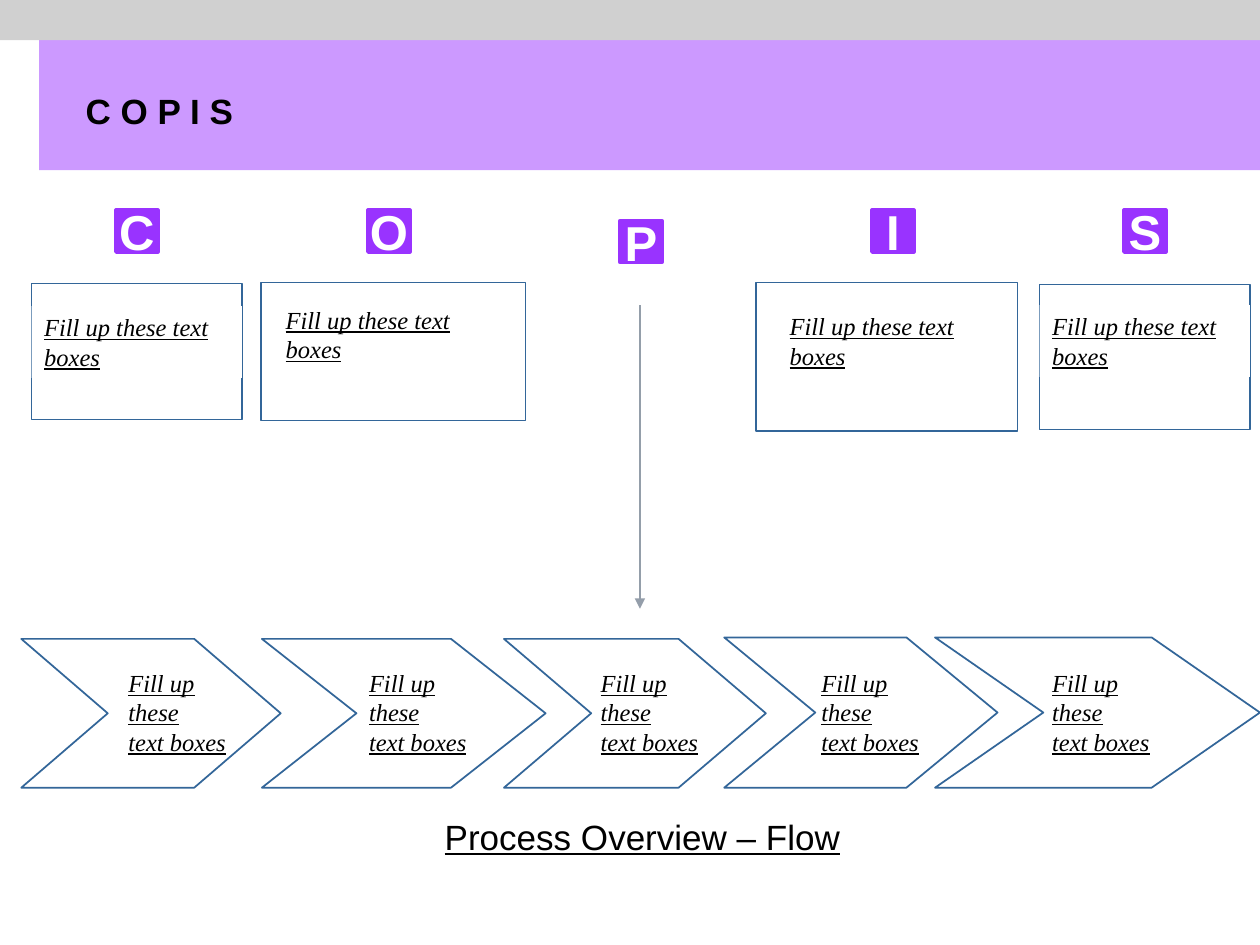
from dataclasses import dataclass

from lxml import etree
from pptx import Presentation
from pptx.dml.color import RGBColor
from pptx.enum.shapes import MSO_CONNECTOR, MSO_SHAPE
from pptx.enum.text import MSO_ANCHOR, PP_ALIGN
from pptx.oxml.ns import qn
from pptx.util import Cm, Pt


@dataclass(frozen=True)
class Theme:
    black: str = "000000"
    white: str = "FFFFFF"
    lilac: str = "CC99FF"
    violet: str = "9933FF"
    grey: str = "D0D0D0"
    blue: str = "336699"
    steel: str = "949EAA"
    sans: str = "Arial"
    serif: str = "Times New Roman"
    letter_size: int = 28
    heading_size: int = 20
    prompt_size: int = 14


class Page:
    def __init__(self, slide, theme):
        self.shapes = slide.shapes
        self.theme = theme

    def block(self, area, fill, line=None, weight=0.75, kind=MSO_SHAPE.RECTANGLE):
        shape = self.shapes.add_shape(kind, *map(Cm, area))
        shape.shadow.inherit = False
        shape.fill.solid()
        shape.fill.fore_color.rgb = RGBColor.from_string(fill)
        if line:
            shape.line.color.rgb = RGBColor.from_string(line)
            shape.line.width = Pt(weight)
        else:
            shape.line.fill.background()
        return shape

    def label(self, shape, text, face, size, color, align, wrap=False,
              anchor=MSO_ANCHOR.TOP, bold=False, italic=False, underline=False):
        frame = shape.text_frame
        frame.word_wrap = wrap
        frame.vertical_anchor = anchor
        frame.text = text
        for paragraph in frame.paragraphs:
            paragraph.alignment = align
            font = paragraph.font
            font.name = face
            font.size = Pt(size)
            font.color.rgb = RGBColor.from_string(color)
            font.bold = bold
            font.italic = italic
            font.underline = underline

    def letter(self, left, top, text):
        theme = self.theme
        tile = self.block((left, top, 0.84, 0.84), theme.violet, theme.violet, 2.25)
        self.label(tile, text, theme.sans, theme.letter_size, theme.white,
                   PP_ALIGN.CENTER, anchor=MSO_ANCHOR.MIDDLE, bold=True)

    def heading(self, area, text, bold=False, underline=False):
        box = self.shapes.add_textbox(*map(Cm, area))
        self.label(box, text, self.theme.sans, self.theme.heading_size, self.theme.black,
                   PP_ALIGN.RIGHT, bold=bold, underline=underline)

    def prompt(self, shape, text):
        self.label(shape, text, self.theme.serif, self.theme.prompt_size, self.theme.black,
                   PP_ALIGN.LEFT, wrap=True, italic=True, underline=True)

    def box_prompt(self, left, top):
        self.prompt(self.block((left, top, 4.24, 1.45), self.theme.white),
                    "Fill up these text boxes")

    def step(self, left, top, width):
        height = 15.88 - top
        chevron = self.block((left, top, width, height), self.theme.white,
                             self.theme.blue, 1, MSO_SHAPE.CHEVRON)
        chevron.adjustments[0] = width / 3 / height

    def step_prompt(self, left):
        box = self.shapes.add_textbox(Cm(left), Cm(13.34), Cm(2.74), Cm(2.03))
        self.prompt(box, "Fill up these\ntext boxes")

    def arrow(self, x, top, bottom):
        arrow = self.shapes.add_connector(MSO_CONNECTOR.STRAIGHT, Cm(x), Cm(top), Cm(x), Cm(bottom))
        arrow.line.color.rgb = RGBColor.from_string(self.theme.steel)
        arrow.line.width = Pt(1)
        properties = arrow._element.spPr
        etree.SubElement(properties.find(qn("a:ln")), qn("a:tailEnd"), type="triangle")
        etree.SubElement(properties, qn("a:effectLst"))


def main():
    presentation = Presentation()
    presentation.slide_width, presentation.slide_height = Cm(25.4), Cm(19.05)
    theme = Theme()
    page = Page(presentation.slides.add_slide(presentation.slide_layouts[6]), theme)

    page.block((0.79, 0.74, 24.61, 2.69), theme.lilac)
    page.block((0, 0, 25.4, 0.81), theme.grey)
    page.heading((1.47, 1.68, 3.48, 1.12), "C O P I S", bold=True)

    for index, initial in enumerate("COPIS"):
        page.letter(2.34 + 5.08 * index, 4.45 if initial == "P" else 4.24, initial)

    entries = [
        ((0.64, 5.72, 4.24, 2.74), (0.64, 6.17)),
        ((5.26, 5.69, 5.33, 2.79), (5.51, 6.02)),
        ((15.24, 5.69, 5.28, 3), (15.67, 6.15)),
        ((20.96, 5.74, 4.24, 2.92), (20.96, 6.15)),
    ]
    for outline, prompt in entries:
        page.block(outline, theme.white, theme.blue)
        page.box_prompt(*prompt)

    page.arrow(12.9, 6.15, 12.27)

    steps = [
        (0.43, 12.88, 5.23, 2.34),
        (5.28, 12.88, 5.72, 7.19),
        (10.16, 12.88, 5.28, 11.86),
        (14.6, 12.85, 5.51, 16.31),
        (18.85, 12.85, 6.55, 20.96),
    ]
    for left, top, width, prompt_left in steps:
        page.step(left, top, width)
        page.step_prompt(prompt_left)

    page.heading((8.53, 16.31, 8.66, 1.12), "Process Overview – Flow ", underline=True)
    presentation.save("out.pptx")


if __name__ == "__main__":
    main()
